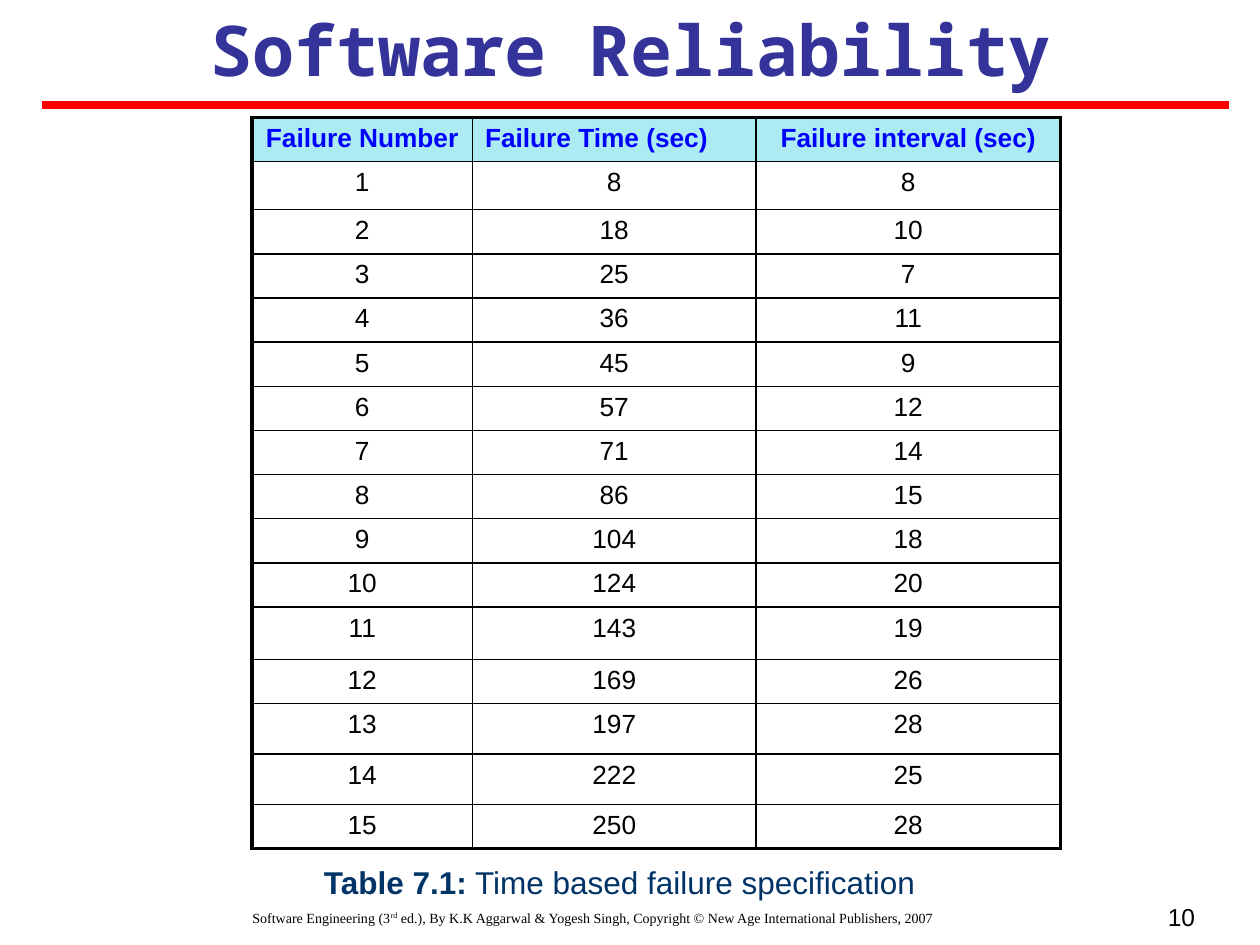
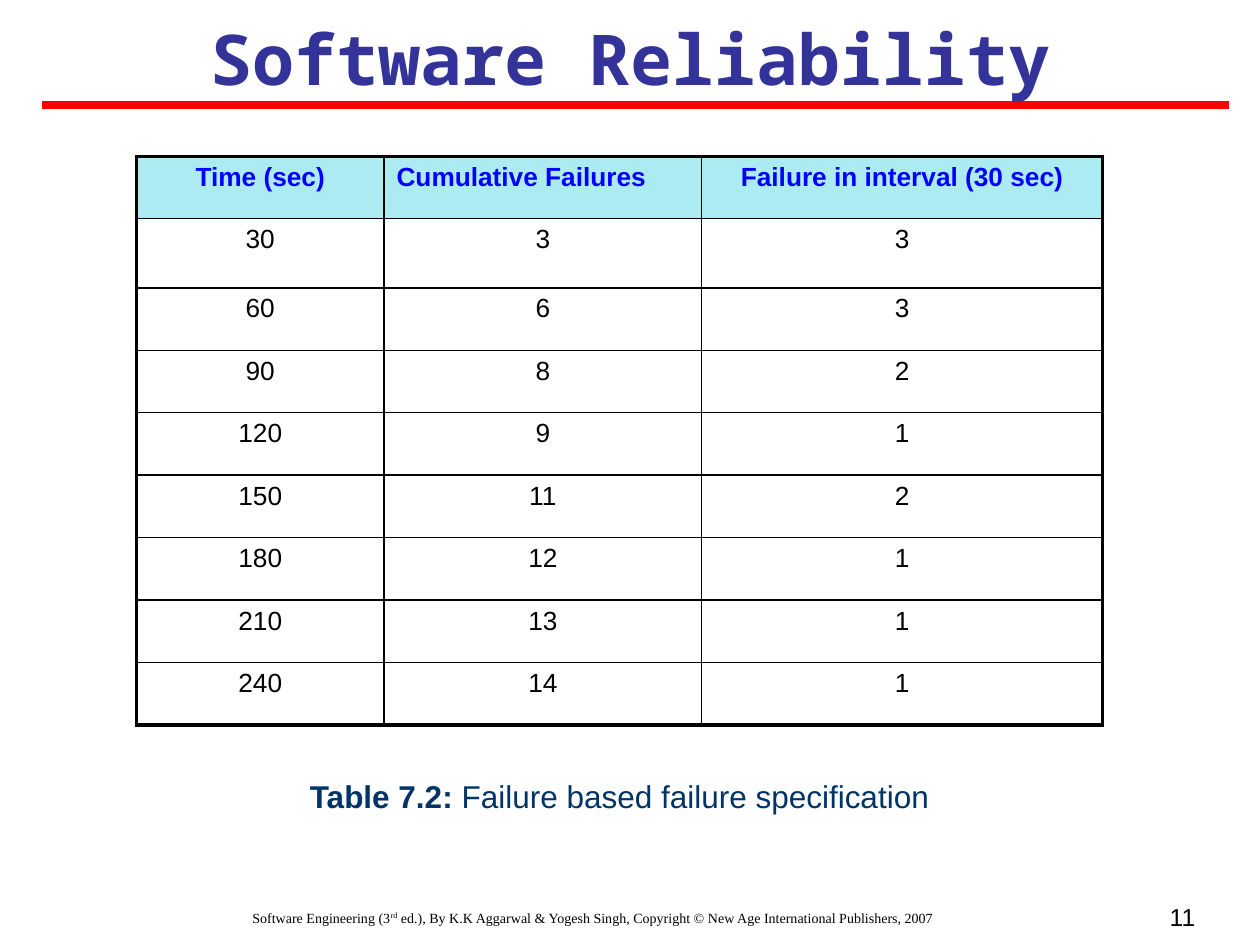
from dataclasses import dataclass

from lxml.etree import SubElement
from pptx import Presentation
from pptx.dml.color import RGBColor
from pptx.enum.shapes import MSO_CONNECTOR
from pptx.enum.text import MSO_ANCHOR, MSO_AUTO_SIZE, PP_ALIGN as Align
from pptx.oxml.ns import qn
from pptx.util import Pt

COLOURS = {
    "title": "333399",
    "rule": "FF0000",
    "header_fill": "ACEBF2",
    "header_text": "0000FF",
    "caption": "003366",
    "black": "000000",
}
FOOTER_START = "Software Engineering (3"
FOOTER_END = (" ed.), By K.K Aggarwal & Yogesh Singh, Copyright © "
              "New Age International Publishers, 2007")
OUTER_BORDER, INNER_BORDER = 2.25, 1


@dataclass
class Box:
    left: float
    top: float
    width: float
    height: float

    def lengths(self) -> tuple:
        return Pt(self.left), Pt(self.top), Pt(self.width), Pt(self.height)


@dataclass
class FailureSlide:
    number: int
    title_top: float
    table_box: Box
    column_widths: list[float]
    row_heights: list[float]
    header: list[str]
    records: list[tuple]
    caption_top: float
    caption_label: str
    caption: str


def interval_records(times: list[int]) -> list[tuple]:
    """Number each failure time and give the time since the one before."""
    return [(number, time, time - before)
            for number, (before, time) in enumerate(zip([0] + times, times), 1)]


def cumulative_records(totals: list[int], step: int) -> list[tuple]:
    """Give the end of each interval, the total so far and its increase."""
    return [(number * step, total, increase)
            for number, total, increase in interval_records(totals)]


def write(paragraph, text: str, *, size: float, colour: str = "black",
          font: str = "Arial", bold: bool = False, align=Align.CENTER,
          raised: bool = False) -> None:
    paragraph.alignment = align
    run = paragraph.add_run()
    run.text = text
    run.font.name = font
    run.font.size = Pt(size)
    run.font.bold = bold
    run.font.color.rgb = RGBColor.from_string(COLOURS[colour])
    if raised:
        run.font._element.set("baseline", "30000")


def add_text_line(slide, box: Box, margin: bool = True):
    """Add a wrapping text box and return its first paragraph."""
    frame = slide.shapes.add_textbox(*box.lengths()).text_frame
    frame.word_wrap = True
    if not margin:
        frame.margin_left = frame.margin_right = 0
        frame.margin_top = frame.margin_bottom = 0
    return frame.paragraphs[0]


def add_title(slide, top: float) -> None:
    title = slide.shapes.title
    title.left, title.top, title.width, title.height = Box(24, top, 672, 55.4).lengths()
    frame = title.text_frame
    frame.auto_size = MSO_AUTO_SIZE.NONE
    frame.vertical_anchor = MSO_ANCHOR.MIDDLE
    write(frame.paragraphs[0], "Software Reliability", size=40, colour="title",
          font="Noto Sans Mono", bold=True)
    title.element.getparent().append(title.element)


def add_rule(slide) -> None:
    rule = slide.shapes.add_connector(MSO_CONNECTOR.STRAIGHT,
                                      Pt(24), Pt(60), Pt(702), Pt(60))
    rule.line.color.rgb = RGBColor.from_string(COLOURS["rule"])
    rule.line.width = Pt(4.5)
    SubElement(rule.element.spPr, qn("a:effectLst"))


def add_footer(slide, number: int) -> None:
    credit = add_text_line(slide, Box(18, 516, 642, 24))
    for text, raised in ((FOOTER_START, False), ("rd", True), (FOOTER_END, False)):
        write(credit, text, size=8, font="Times New Roman", raised=raised)
    page = add_text_line(slide, Box(522, 512, 168, 42))
    write(page, str(number), size=14, align=Align.RIGHT)


def set_borders(cell, outer_sides: dict[str, bool]) -> None:
    """Draw black borders, heavier on the sides at the table's edge."""
    properties = cell._tc.get_or_add_tcPr()
    for position, (side, outer) in enumerate(outer_sides.items()):
        width = Pt(OUTER_BORDER if outer else INNER_BORDER)
        border = properties.makeelement(qn(f"a:{side}"), {"w": str(width)})
        fill = SubElement(border, qn("a:solidFill"))
        SubElement(fill, qn("a:srgbClr"), val=COLOURS["black"])
        properties.insert(position, border)


def add_failure_table(slide, content: FailureSlide) -> None:
    rows = [content.header, *content.records]
    last_row, last_column = len(rows) - 1, len(content.header) - 1
    graphic = slide.shapes.add_table(len(rows), len(content.header),
                                     *content.table_box.lengths())
    table = graphic.table
    table.first_row = table.horz_banding = False
    for column, width in zip(table.columns, content.column_widths):
        column.width = Pt(width)
    for row, height in zip(table.rows, content.row_heights):
        row.height = Pt(height)
    graphic.height = Pt(content.table_box.height)

    for r, values in enumerate(rows):
        is_header = r == 0
        for c, value in enumerate(values):
            cell = table.cell(r, c)
            if is_header:
                cell.fill.solid()
                cell.fill.fore_color.rgb = RGBColor.from_string(COLOURS["header_fill"])
            else:
                cell.fill.background()
            write(cell.text_frame.paragraphs[0], str(value), size=15, bold=is_header,
                  colour="header_text" if is_header else "black",
                  align=Align.LEFT if is_header and c == 1 else Align.CENTER)
            set_borders(cell, {"lnL": c == 0, "lnR": c == last_column,
                               "lnT": is_header, "lnB": r == last_row})


def add_caption(slide, content: FailureSlide) -> None:
    line = add_text_line(slide, Box(78, content.caption_top, 552, 21.6), margin=False)
    write(line, content.caption_label, size=18, colour="caption", bold=True)
    write(line, f" {content.caption}", size=18, colour="caption")


SLIDES = [
    FailureSlide(
        number=10,
        title_top=0,
        table_box=Box(144, 67, 462, 418),
        column_widths=[126, 162, 174],
        row_heights=[18, 27.6, *[18] * 9, 30, 18, 28.8, 28.8, 18],
        header=["Failure Number", "Failure Time (sec)", "Failure interval (sec)"],
        records=interval_records([8, 18, 25, 36, 45, 57, 71, 86, 104, 124,
                                  143, 169, 197, 222, 250]),
        caption_top=493,
        caption_label="Table 7.1:",
        caption="Time based failure specification",
    ),
    FailureSlide(
        number=11,
        title_top=5,
        table_box=Box(78, 89.3, 552, 325),
        column_widths=[141.4, 181.6, 229],
        row_heights=[35.6, 39.6, *[35.7] * 7],
        header=["Time (sec)", "Cumulative Failures", "Failure in interval (30 sec)"],
        records=cumulative_records([3, 6, 8, 9, 11, 12, 13, 14], step=30),
        caption_top=444,
        caption_label="Table 7.2:",
        caption="Failure based failure specification",
    ),
]


def main() -> None:
    deck = Presentation()
    deck.slide_width, deck.slide_height = Pt(720), Pt(540)
    title_only = deck.slide_layouts[5]
    for content in SLIDES:
        slide = deck.slides.add_slide(title_only)
        add_footer(slide, content.number)
        add_rule(slide)
        add_failure_table(slide, content)
        add_caption(slide, content)
        add_title(slide, content.title_top)
    deck.save("out.pptx")


if __name__ == "__main__":
    main()
